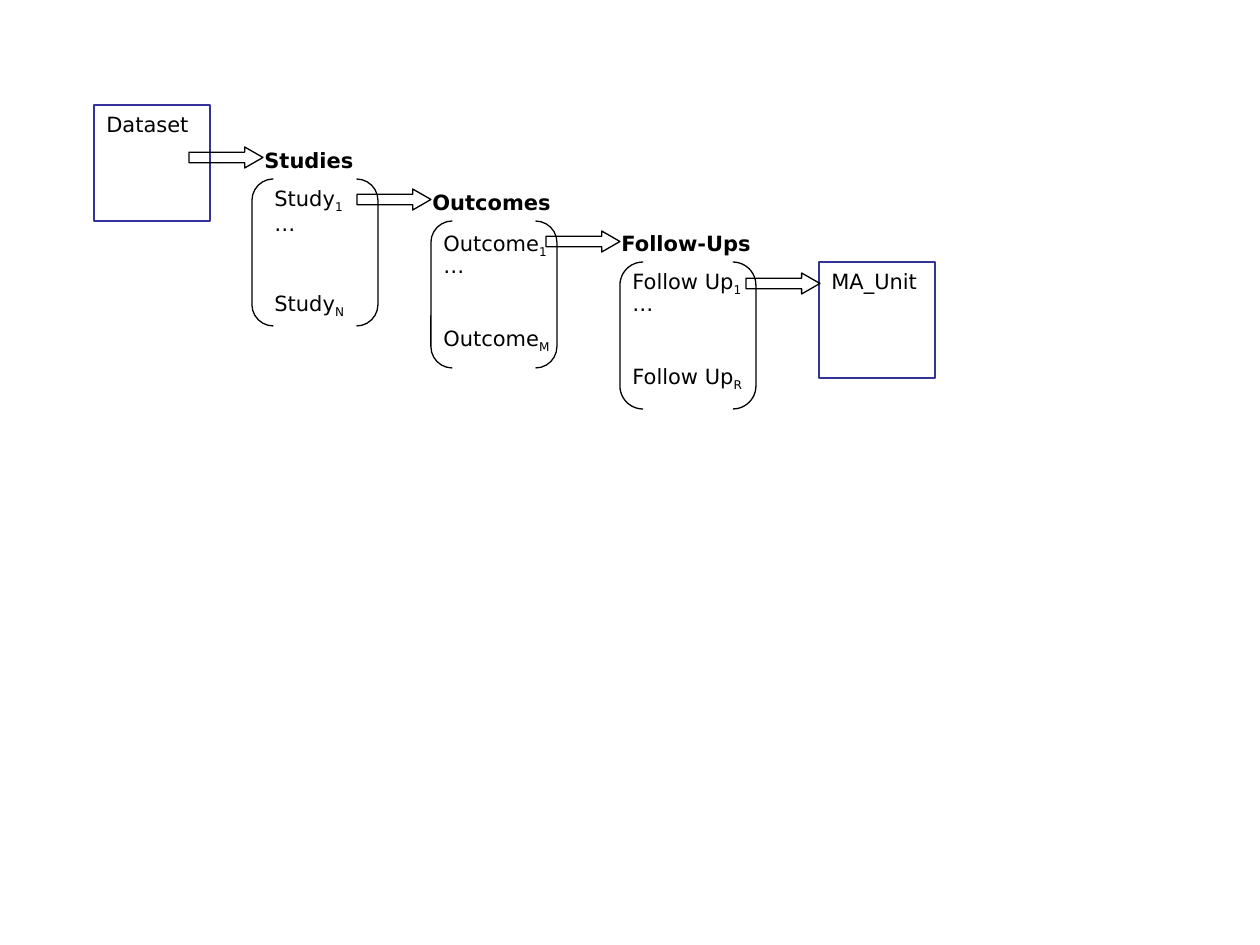
import pptx
import pptx.util
import pptx.dml.color
import pptx.enum.shapes
import pptx.enum.text
from dataclasses import dataclass

SHAPE = pptx.enum.shapes.MSO_SHAPE


@dataclass(frozen=True)
class Theme:
    font: str = "DejaVu Sans"
    size: float = 12
    line: float = 0.75
    ink: str = "000000"
    frame: str = "333399"


THEME = Theme()


def px(n):
    return round(n * 914400 / 126)


def color(code):
    return pptx.dml.color.RGBColor.from_string(code)


def outline(slide, kind, x, y, w, h, ink=THEME.ink, adjust=()):
    shape = slide.shapes.add_shape(kind, px(x), px(y), px(w), px(h))
    shape.shadow.inherit = False
    shape.fill.background()
    shape.line.color.rgb = color(ink)
    shape.line.width = pptx.util.Pt(THEME.line)
    for i, value in enumerate(adjust):
        shape.adjustments[i] = value


def label(slide, text, x, y, w, sub="", bold=False):
    box = slide.shapes.add_textbox(px(x), px(y), px(w), px(42 if sub else 38))
    frame = box.text_frame
    frame.word_wrap = True
    frame.auto_size = pptx.enum.text.MSO_AUTO_SIZE.SHAPE_TO_FIT_TEXT
    para = frame.paragraphs[0]
    para.text = text
    if sub:
        low = para.add_run()
        low.text = sub
        low._r.get_or_add_rPr().set("baseline", "-25000")
    for run in para.runs:
        run.font.name = THEME.font
        run.font.size = pptx.util.Pt(THEME.size)
        run.font.color.rgb = color(THEME.ink)
        run.font.bold = bold


def unit(slide, text, x, y):
    outline(slide, SHAPE.RECTANGLE, x, y, 116, 116, THEME.frame)
    label(slide, text, x, y, 136)


def arrow(slide, x, y):
    outline(slide, SHAPE.RIGHT_ARROW, x, y, 74, 21, adjust=(0.5, 0.87))


def group(slide, x, y, w, head, item, last, left, rows):
    title, gap = head
    first, dots, end = rows
    outline(slide, SHAPE.DOUBLE_BRACKET, x, y, w, 147, adjust=(0.17,))
    label(slide, title, x - gap, y - 38, 168, bold=True)
    label(slide, item, left, y + first, 147, "1")
    label(slide, "…", left, y + dots, 105)
    label(slide, item, left, y + end, 147, last)


def main():
    deck = pptx.Presentation()
    deck.slide_width, deck.slide_height = px(1260), px(945)
    slide = deck.slides.add_slide(deck.slide_layouts[6])

    unit(slide, "Dataset", 94, 105)
    group(slide, 252, 179, 126, ("Studies", 0), "Study", "N", 262, (0, 25, 105))
    group(slide, 431, 221, 126, ("Outcomes", 11), "Outcome", "M", 431, (3, 25, 98))
    group(slide, 620, 262, 136, ("Follow-Ups", 11), "Follow Up", "R", 620, (0, 22, 95))
    unit(slide, "MA_Unit", 819, 262)
    for i, x in enumerate((189, 357, 546, 746)):
        arrow(slide, x, 147 + 42 * i)

    deck.save("out.pptx")


if __name__ == "__main__":
    main()
